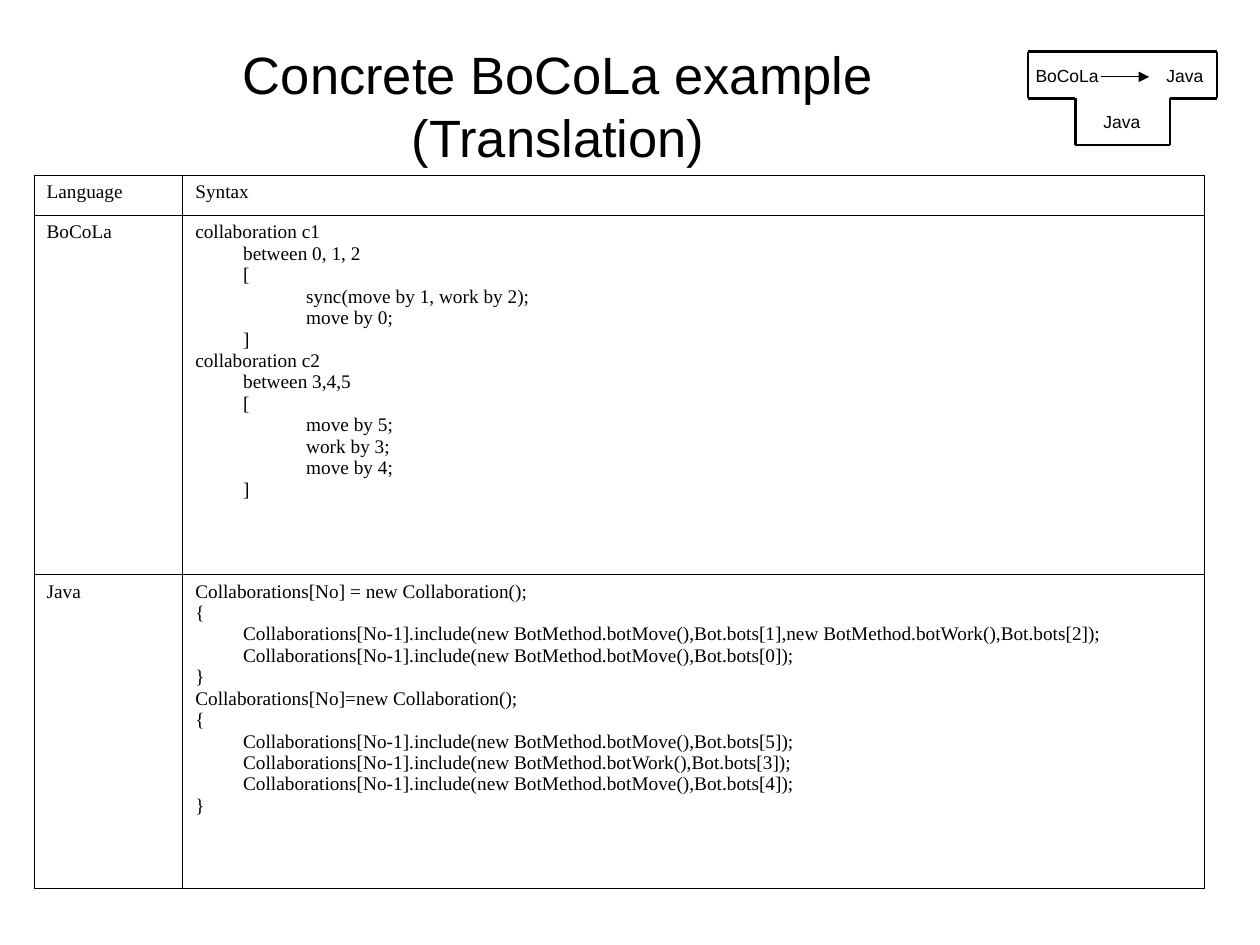
from lxml.etree import SubElement
from pptx import Presentation
from pptx.dml.color import RGBColor
from pptx.enum.shapes import MSO_CONNECTOR
from pptx.enum.text import MSO_ANCHOR, PP_ALIGN
from pptx.oxml.ns import qn
from pptx.util import Inches, Pt

BLACK = RGBColor(0, 0, 0)
TITLE = {"name": "Arial", "size": Pt(30)}
LABEL = {"name": "Arial", "size": Pt(10)}
CODE = {"name": "Times New Roman", "size": Pt(11)}

BOCOLA = """collaboration c1
\tbetween 0, 1, 2
\t[
\t\tsync(move by 1, work by 2);
\t\tmove by 0;
\t]
collaboration c2
\tbetween 3,4,5
\t[
\t\tmove by 5;
\t\twork by 3;
\t\tmove by 4;
\t]"""
JAVA = """Collaborations[No] = new Collaboration();
{
\tCollaborations[No-1].include(new BotMethod.botMove(),Bot.bots[1],new BotMethod.botWork(),Bot.bots[2]);
\tCollaborations[No-1].include(new BotMethod.botMove(),Bot.bots[0]);
}
Collaborations[No]=new Collaboration();
{
\tCollaborations[No-1].include(new BotMethod.botMove(),Bot.bots[5]);
\tCollaborations[No-1].include(new BotMethod.botWork(),Bot.bots[3]);
\tCollaborations[No-1].include(new BotMethod.botMove(),Bot.bots[4]);
}"""
ROWS = [("Language", "Syntax"), ("BoCoLa", BOCOLA), ("Java", JAVA)]


def style(para, form):
    for run in para.runs:
        for key, value in form.items():
            setattr(run.font, key, value)
        run.font.color.rgb = BLACK


def add_text(shapes, text, box, form, align=PP_ALIGN.LEFT, anchor=MSO_ANCHOR.TOP):
    frame = shapes.add_textbox(*map(Inches, box)).text_frame
    frame.word_wrap = True
    frame.vertical_anchor = anchor
    para = frame.paragraphs[0]
    para.text = text
    para.alignment = align
    style(para, form)


def add_line(shapes, start, end, width):
    line = shapes.add_connector(MSO_CONNECTOR.STRAIGHT, *map(Inches, start + end))
    line.line.color.rgb = BLACK
    line.line.width = Pt(width)
    SubElement(line._element.spPr, qn("a:effectLst"))
    return line


def indent(para):
    """Hang the first line and set tab stops one inch apart."""
    props = para._p.get_or_add_pPr()
    props.set("marL", str(Inches(0.38)))
    props.set("indent", str(Inches(-0.38)))
    tabs = SubElement(props, qn("a:tabLst"))
    for stop in range(8):
        SubElement(tabs, qn("a:tab"), pos=str(Inches(stop)), algn="l")


def add_border(cell):
    props = cell._tc.get_or_add_tcPr()
    for place, side in enumerate(("lnL", "lnR", "lnT", "lnB")):
        line = SubElement(props, qn(f"a:{side}"), w=str(Pt(0.45)))
        fill = SubElement(line, qn("a:solidFill"))
        SubElement(fill, qn("a:srgbClr"), val=str(BLACK))
        props.insert(place, line)


def fill_cell(cell, text):
    cell.fill.background()
    add_border(cell)
    cell.text = text
    for para in cell.text_frame.paragraphs:
        indent(para)
        style(para, CODE)


def add_syntax(slide, box, widths, heights):
    frame = slide.shapes.add_table(len(heights), len(widths), *map(Inches, box))
    table = frame.table
    table.first_row = table.horz_banding = False
    for col, width in zip(table.columns, widths):
        col.width = Inches(width)
    for row, height, texts in zip(table.rows, heights, ROWS):
        row.height = Inches(height)
        for cell, text in zip(row.cells, texts):
            fill_cell(cell, text)


def add_diagram(slide, box):
    """Draw the T-shaped translator: source and target on top, host below."""
    left, top, width, height = box
    shapes = slide.shapes.add_group_shape().shapes
    right, mid, base = left + width, top + height / 2, top + height
    stem, edge = left + width / 4, right - width / 4
    corners = [(left, top), (right, top), (right, mid), (edge, mid),
               (edge, base), (stem, base), (stem, mid), (left, mid)]
    for start, end in zip(corners, corners[1:] + corners[:1]):
        add_line(shapes, start, end, 1.5)
    for text, x, y, wide in [("Java", 0.5, 0.42, 0.5), ("Java", 1, 0.06, 0.5),
                             ("BoCoLa", -0.04, 0.06, 0.75)]:
        add_text(shapes, text, (left + x, top + y, wide, 0.25), LABEL)
    arrow = add_line(shapes, (left + 0.58, top + 0.2), (left + 0.96, top + 0.2), 0.75)
    SubElement(arrow.line._get_or_add_ln(), qn("a:tailEnd"), type="triangle")


def main():
    deck = Presentation()
    deck.slide_width, deck.slide_height = Inches(10), Inches(7.5)
    slide = deck.slides.add_slide(deck.slide_layouts[6])
    add_text(slide.shapes, "Concrete BoCoLa example\v(Translation)", (0.83, 0.21, 7.2, 1.25),
             TITLE, PP_ALIGN.CENTER, MSO_ANCHOR.MIDDLE)
    add_syntax(slide, (0.27, 1.39, 9.29, 5.67), (1.18, 8.11), (0.32, 2.85, 2.49))
    add_diagram(slide, (8.16, 0.41, 1.5, 0.74))
    deck.save("out.pptx")


if __name__ == "__main__":
    main()
